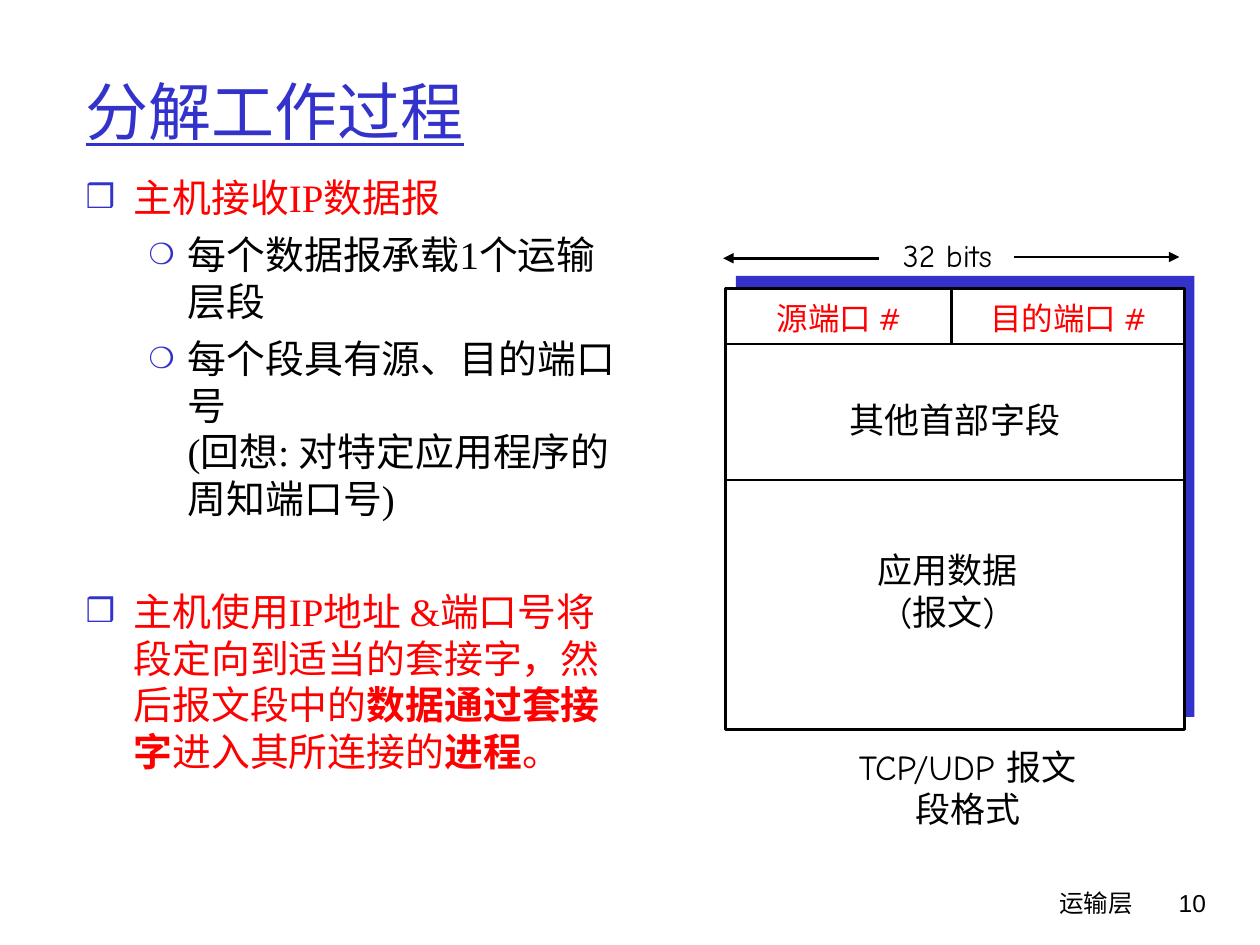
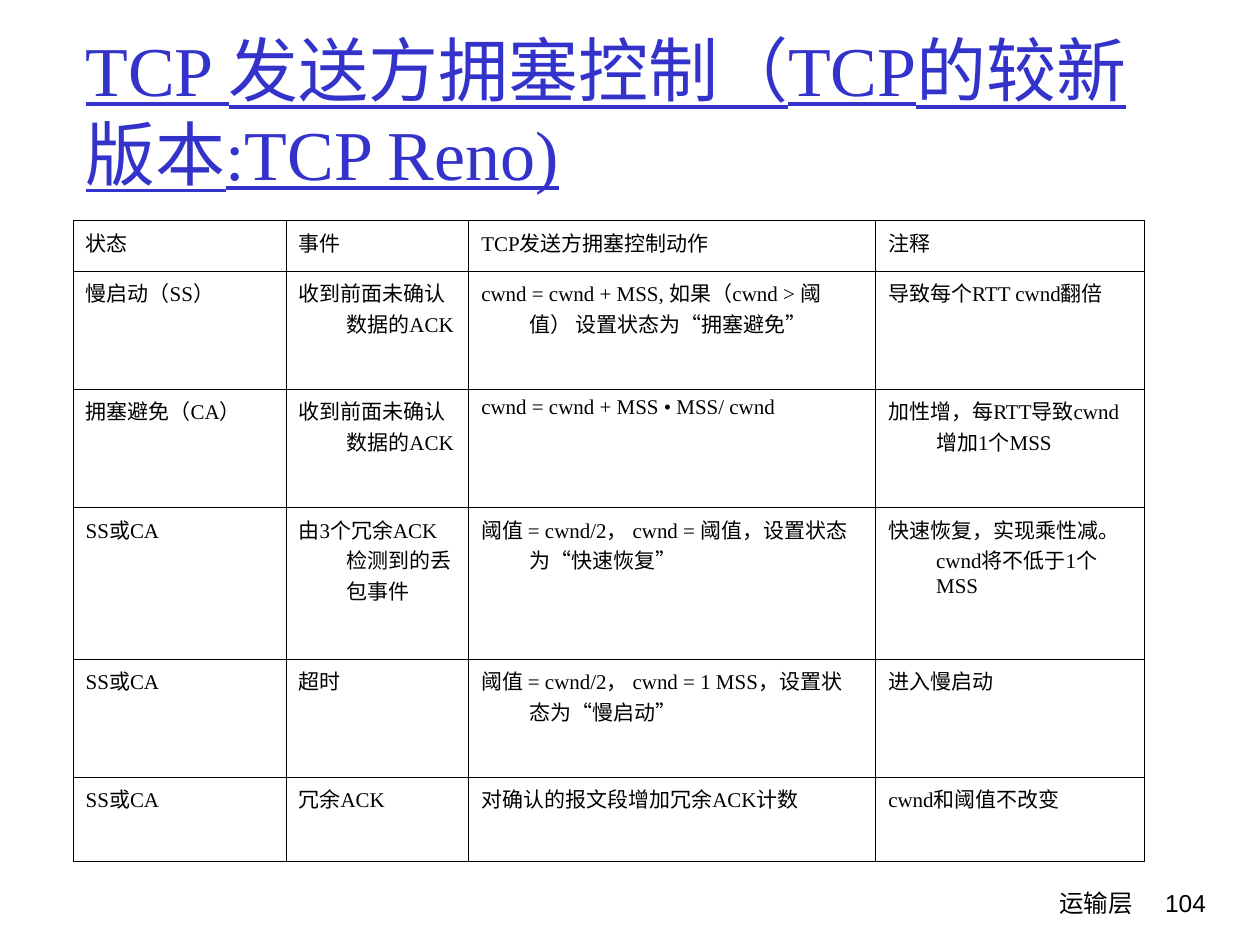
from dataclasses import dataclass
from lxml import etree
from pptx import Presentation
from pptx import util as u
from pptx.dml.color import RGBColor
from pptx.enum import shapes, text
from pptx.oxml.ns import qn


@dataclass(frozen=True)
class Theme:
    blue: str = "3333CC"
    red: str = "FF0000"
    black: str = "000000"
    white: str = "FFFFFF"
    serif: str = "Times New Roman"
    comic: str = "Comic Neue"
    sans: str = "Arial"
    body: float = 22.2
    port: float = 18
    label: float = 20
    foot: float = 14
    cell: float = 12
    line: float = 1.5


T = Theme()
LEFT, MID, RIGHT = text.PP_ALIGN.LEFT, text.PP_ALIGN.CENTER, text.PP_ALIGN.RIGHT

# Content: slide 1
DEMUX = "分解工作过程"
# level, colour, space before, runs (text, bold)
POINTS = [
    (0, T.red, 0, [("主机接收IP数据报", False)]),
    (1, T.black, 6, [("每个数据报承载1个运输层段", False)]),
    (1, T.black, 6, [("每个段具有源、目的端口号 ", False), "break",
                     ("(回想: 对特定应用程序的周知端口号)", False)]),
    (0, T.red, 38, [("主机使用IP地址 &端口号将段定向到适当的套接字，然后报文段中的", False),
                    ("数据通过套接字", True), ("进入其所连接的", False),
                    ("进程", True), ("。", False)]),
]
# level: bullet, size in percent, left margin, hanging indent
BULLETS = [("❒", 85, 0.38, -0.38), ("❍", 75, 0.81, -0.31)]

# Segment box, its dividers and its labels
SEG = (5.76, 2.29, 3.64, 3.5)
ROWS = (2.73, 3.81)
SPLIT = 7.55
ARROWS = [((8.05, 2.04), (9.36, 2.04)), ((6.98, 2.05), (5.74, 2.05))]
# text, centre x, centre y, size, colour
LABELS = [
    ("源端口 #", 6.66, 2.52, T.port, T.red),
    ("目的端口 #", 8.48, 2.52, T.port, T.red),
    ("32 bits", 7.52, 2.02, T.port, T.black),
    ("其他首部字段", 7.58, 3.33, T.label, T.black),
    ("应用数据\n(报文)", 7.52, 4.69, T.label, T.black),
    ("TCP/UDP 报文段格式", 7.68, 6.25, T.label, T.black),
]

# Content: slide 2
RENO = "TCP 发送方拥塞控制（TCP的较新版本:TCP Reno)"
WIDE = (1.69, 1.45, 3.23, 2.13)
HIGH = (0.4, 0.94, 0.94, 1.2, 0.94, 0.67)
STATES = [
    ("状态", "事件", "TCP发送方拥塞控制动作", "注释"),
    ("慢启动（SS）", "收到前面未确认数据的ACK",
     "cwnd = cwnd + MSS, 如果（cwnd > 阈值） 设置状态为“拥塞避免”",
     "导致每个RTT cwnd翻倍"),
    ("拥塞避免（CA）", "收到前面未确认数据的ACK",
     "cwnd = cwnd + MSS • MSS/ cwnd", "加性增，每RTT导致cwnd增加1个MSS"),
    ("SS或CA", "由3个冗余ACK检测到的丢包事件",
     "阈值 = cwnd/2， cwnd = 阈值，设置状态为“快速恢复”",
     "快速恢复，实现乘性减。cwnd将不低于1个MSS"),
    ("SS或CA", "超时", "阈值 = cwnd/2， cwnd = 1 MSS，设置状态为“慢启动”",
     "进入慢启动"),
    ("SS或CA", "冗余ACK", "对确认的报文段增加冗余ACK计数", "cwnd和阈值不改变"),
]


# Helpers
def rgb(color):
    return RGBColor.from_string(color)


def tag(parent, name, **attrs):
    return etree.SubElement(parent, qn(name), attrs)


def place(shape, *box):
    shape.left, shape.top, shape.width, shape.height = map(u.Inches, box)


def style(para, face, size, color, align=LEFT):
    para.alignment = align
    font = para.font
    font.name, font.size, font.color.rgb = face, u.Pt(size), rgb(color)
    return font


def indent(para, left, first):
    props = para._p.get_or_add_pPr()
    props.set("marL", str(u.Inches(left)))
    props.set("indent", str(u.Inches(first)))
    return props


def write(slide, words, box, face, size, color, align, wrap=True):
    frame = slide.shapes.add_textbox(*map(u.Inches, box)).text_frame
    frame.word_wrap = wrap
    frame.text = words
    for para in frame.paragraphs:
        style(para, face, size, color, align)
    return frame


def block(slide, box, fill, edge=None):
    rect = slide.shapes.add_shape(shapes.MSO_SHAPE.RECTANGLE, *map(u.Inches, box))
    rect.shadow.inherit = False
    rect.fill.solid()
    rect.fill.fore_color.rgb = rgb(fill)
    if edge:
        rect.line.color.rgb = rgb(edge)
        rect.line.width = u.Pt(T.line)
    else:
        rect.line.fill.background()


def rule(slide, start, end, arrow=False):
    line = slide.shapes.add_connector(
        shapes.MSO_CONNECTOR.STRAIGHT, *map(u.Inches, start + end))
    line.line.color.rgb = rgb(T.black)
    line.line.width = u.Pt(T.line)
    props = line.element.spPr
    if arrow:
        tag(props.find(qn("a:ln")), "a:tailEnd", type="triangle")
    tag(props, "a:effectLst")


def start(deck, layout, title, size, page):
    """Add a slide with the shared title and footer."""
    slide = deck.slides.add_slide(deck.slide_layouts[layout])
    head = slide.shapes.title
    place(head, 0.58, 0.25, 8.5, 1.25)
    head.text_frame.text = title
    head.text_frame.auto_size = text.MSO_AUTO_SIZE.NONE
    head.text_frame.vertical_anchor = text.MSO_ANCHOR.MIDDLE
    style(head.text_frame.paragraphs[0], T.serif, size, T.blue).underline = True
    write(slide, "运输层", (5.92, 7, 3.17, 0.5), T.comic, T.foot, T.black, RIGHT)
    write(slide, str(page), (8.93, 7, 0.74, 0.5), T.sans, T.foot, T.black, RIGHT)
    return slide


# Slide 1
def outline(slide):
    body = slide.placeholders[1]
    place(body, 0.58, 1.33, 4.5, 5.42)
    frame = body.text_frame
    frame.auto_size = text.MSO_AUTO_SIZE.NONE
    for i, (level, color, gap, runs) in enumerate(POINTS):
        para = frame.add_paragraph() if i else frame.paragraphs[0]
        para.level = level
        para.space_before = u.Pt(gap)
        mark, scale, left, first = BULLETS[level]
        props = indent(para, left, first)
        tag(tag(props, "a:buClr"), "a:srgbClr", val=T.blue)
        tag(props, "a:buSzPct", val=str(scale * 1000))
        tag(props, "a:buChar", char=mark)
        style(para, T.serif, T.body, color)
        for part in runs:
            if part == "break":
                para.add_line_break()
                continue
            run = para.add_run()
            run.text, bold = part
            if bold:
                run.font.bold = True


def segment(slide):
    x, y, w, h = SEG
    block(slide, (x + 0.08, y - 0.1, w, h), T.blue)
    block(slide, SEG, T.white, T.black)
    for row in ROWS:
        rule(slide, (x, row), (x + w, row))
    rule(slide, (SPLIT, ROWS[0]), (SPLIT, y))
    for tip in ARROWS:
        rule(slide, *tip, arrow=True)
    for words, cx, cy, size, color in LABELS:
        tall = 0.1 + (words.count("\n") + 1) * size / 60
        frame = write(slide, words, (cx - 1, cy - tall / 2, 2, tall),
                      T.comic, size, color, MID, wrap=False)
        frame.vertical_anchor = text.MSO_ANCHOR.MIDDLE


# Slide 2
def border(cell):
    props = cell._tc.get_or_add_tcPr()
    for side in "LRTB":
        edge = tag(props, "a:ln" + side, w=str(u.Pt(0.45)))
        tag(tag(edge, "a:solidFill"), "a:srgbClr", val=T.black)


def grid(slide):
    box = (0.58, 1.75, sum(WIDE), sum(HIGH))
    table = slide.shapes.add_table(len(HIGH), len(WIDE), *map(u.Inches, box)).table
    table.first_row = table.horz_banding = False
    for col, wide in zip(table.columns, WIDE):
        col.width = u.Inches(wide)
    for row, high, words in zip(table.rows, HIGH, STATES):
        row.height = u.Inches(high)
        for cell, word in zip(row.cells, words):
            cell.text = word
            para = cell.text_frame.paragraphs[0]
            indent(para, 0.38, -0.38)
            style(para, T.serif, T.cell, T.black)
            border(cell)
            cell.fill.background()


def main():
    deck = Presentation()
    deck.slide_width, deck.slide_height = u.Inches(10), u.Inches(7.5)
    demux = start(deck, 1, DEMUX, 36, 10)
    outline(demux)
    segment(demux)
    grid(start(deck, 5, RENO, 40, 104))
    deck.save("out.pptx")


if __name__ == "__main__":
    main()
